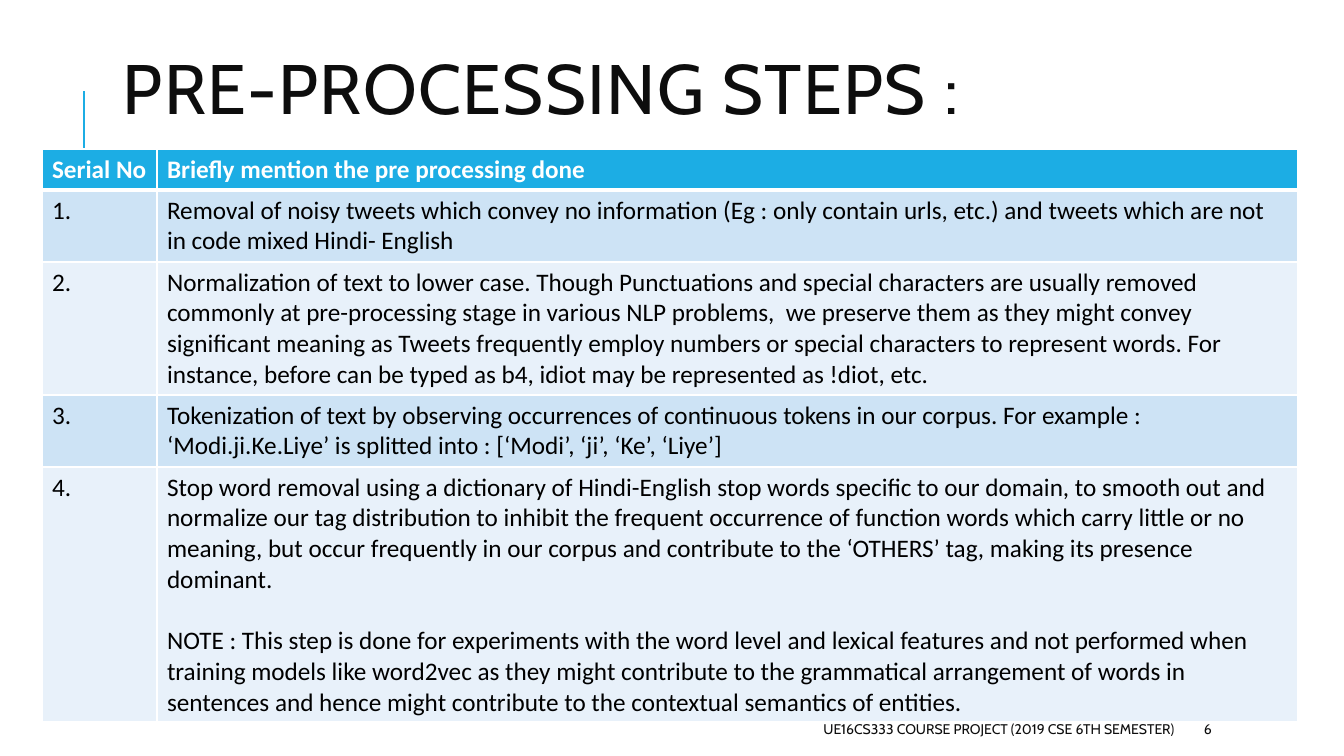
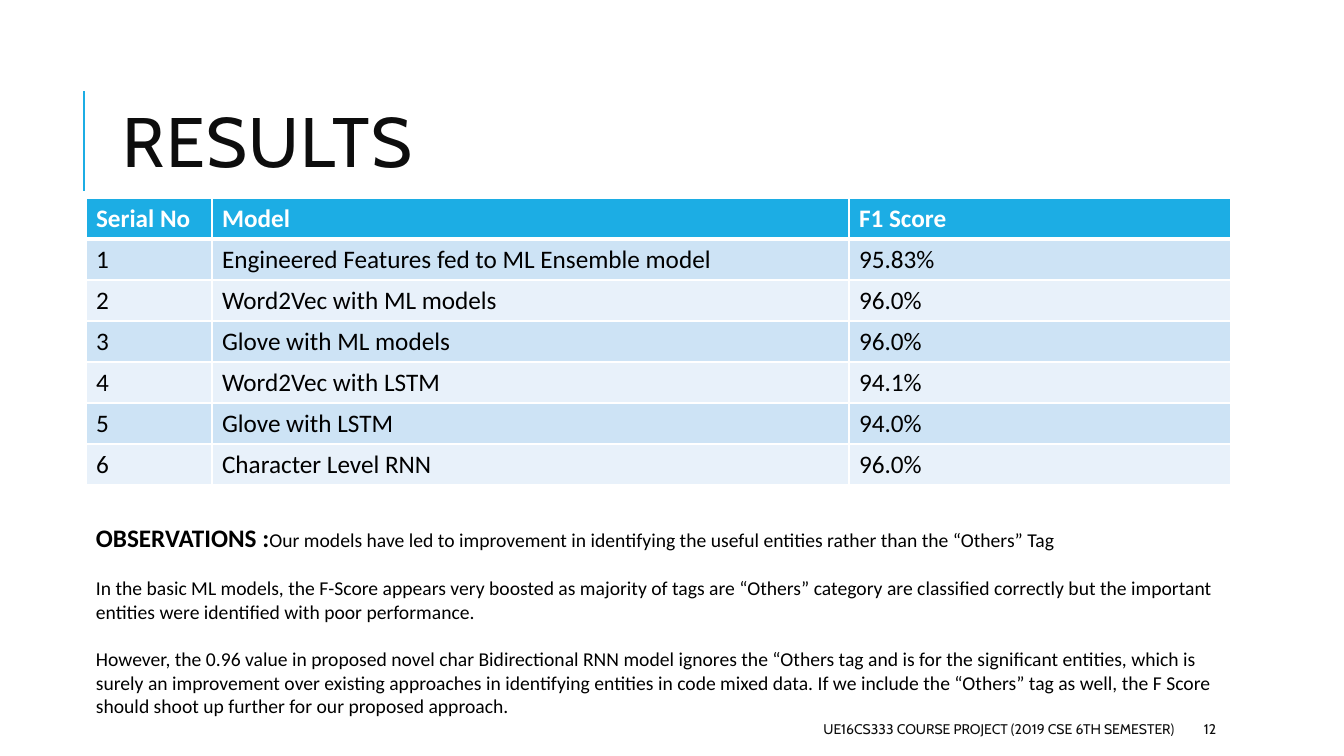
from lxml import etree
from pptx import Presentation
from pptx import util as u
from pptx.dml.color import RGBColor
from pptx.enum import shapes, text
from pptx.oxml import ns

SCALE = 914400 / 100.8
BLUE = RGBColor(0x1C, 0xAD, 0xE4)
DARK = RGBColor(0x0D, 0x0D, 0x0D)
BLACK = RGBColor(0, 0, 0)
WHITE = RGBColor(0xFF, 0xFF, 0xFF)
BANDS = [RGBColor(0xCD, 0xE3, 0xF5), RGBColor(0xE8, 0xF1, 0xFA)]
HEAD, BODY = "Cabin", "Calibri"
FOOTER = "UE16CS333 COURSE PROJECT (2019 CSE 6TH SEMESTER)"

STEPS = [
    ["Serial No", "Briefly mention the pre processing done"],
    ["1.", "Removal of noisy tweets which convey no information (Eg : only "
     "contain urls, etc.) and tweets which are not in code mixed Hindi- English"],
    ["2.", "Normalization of text to lower case. Though Punctuations and special "
     "characters are usually removed commonly at pre-processing stage in various "
     "NLP problems,  we preserve them as they might convey significant meaning as "
     "Tweets frequently employ numbers or special characters to represent words. "
     "For instance, before can be typed as b4, idiot may be represented as "
     "!diot, etc."],
    ["3.", "Tokenization of text by observing occurrences of continuous tokens in "
     "our corpus. For example : ‘Modi.ji.Ke.Liye’ is splitted into : "
     "[‘Modi’, ‘ji’, ‘Ke’, ‘Liye’]"],
    ["4.", "Stop word removal using a dictionary of Hindi-English stop words "
     "specific to our domain, to smooth out and normalize our tag distribution to "
     "inhibit the frequent occurrence of function words which carry little or no "
     "meaning, but occur frequently in our corpus and contribute to the ‘OTHERS’ "
     "tag, making its presence dominant.\n"
     "NOTE : This step is done for experiments with the word level and lexical "
     "features and not performed when training models like word2vec as they might "
     "contribute to the grammatical arrangement of words in sentences and hence "
     "might contribute to the contextual semantics of entities."],
]
SCORES = [
    ["Serial No", "Model", "F1 Score"],
    ["1", "Engineered Features fed to ML Ensemble model", "95.83%"],
    ["2", "Word2Vec with ML models", "96.0%"],
    ["3", "Glove with ML models", "96.0%"],
    ["4", "Word2Vec with LSTM", "94.1%"],
    ["5", "Glove with LSTM", "94.0%"],
    ["6", "Character Level RNN", "96.0%"],
]
LABEL = "OBSERVATIONS :"
NOTES = [
    "Our models have led to improvement in identifying the useful entities rather "
    "than the “Others” Tag",
    "In the basic ML models, the F-Score appears very boosted as majority of tags "
    "are “Others” category are classified correctly but the important entities "
    "were identified with poor performance.",
    "However, the 0.96 value in proposed novel char Bidirectional RNN model ignores "
    "the “Others tag and is for the significant entities, which is surely an "
    "improvement over existing approaches in identifying entities in code mixed "
    "data. If we include the “Others” tag as well, the F Score should shoot up "
    "further for our proposed approach.",
]


def px(n):
    return u.Emu(round(n * SCALE))


def style(font, size, color, name=BODY, bold=False):
    font.size, font.name, font.bold = u.Pt(size), name, bold
    font.color.rgb = color


def add_box(slide, x, y, w, h, anchor=text.MSO_ANCHOR.MIDDLE):
    frame = slide.shapes.add_textbox(px(x), px(y), px(w), px(h)).text_frame
    frame.word_wrap = True
    frame.vertical_anchor = anchor
    return frame


# Parts that both slides share
def add_base(deck, title, top, number):
    slide = deck.slides.add_slide(deck.slide_layouts[6])
    rule = slide.shapes.add_connector(
        shapes.MSO_CONNECTOR.STRAIGHT, px(84), px(191), px(84), px(91))
    rule.line.color.rgb = BLUE
    rule.line.width = u.Pt(1.5)
    etree.SubElement(rule._element.spPr, ns.qn("a:effectLst"))

    para = add_box(slide, 113, top, 1072, 165).paragraphs[0]
    para.text = title
    para.line_spacing = 0.8
    style(para.font, 50, DARK, HEAD)
    para._p.pPr.get_or_add_defRPr().set("spc", "100")

    for words, x, w, align in [(FOOTER, 534, 650, text.PP_ALIGN.RIGHT),
                               (str(number), 1194, 107, text.PP_ALIGN.LEFT)]:
        para = add_box(slide, x, 714, w, 30).paragraphs[0]
        para.text, para.alignment = words, align
        style(para.font, 10, DARK, HEAD)
    return slide


# Tables
def add_edges(cell, row):
    widths = {"L": 1, "R": 1, "T": 3 if row == 1 else 1, "B": 1 if row else 3}
    props = cell._tc.get_or_add_tcPr()
    for side, width in widths.items():
        edge = etree.SubElement(props, ns.qn("a:ln" + side), w=str(u.Pt(width)))
        fill = etree.SubElement(edge, ns.qn("a:solidFill"))
        etree.SubElement(fill, ns.qn("a:srgbClr"), val=str(WHITE))


def fill_cell(cell, words, row):
    add_edges(cell, row)
    cell.fill.solid()
    cell.fill.fore_color.rgb = BANDS[(row - 1) % 2] if row else BLUE
    cell.text = words
    for i, para in enumerate(cell.text_frame.paragraphs):
        style(para.font, 18, BLACK if row else WHITE, bold=row == 0)
        if i:
            para.space_before = u.Pt(22)


def add_grid(slide, x, y, cols, rows, data):
    table = slide.shapes.add_table(
        len(rows), len(cols), px(x), px(y), px(sum(cols)), px(sum(rows))).table
    for col, width in zip(table.columns, cols):
        col.width = px(width)
    for r, (row, height) in enumerate(zip(table.rows, rows)):
        row.height = px(height)
        for cell, words in zip(row.cells, data[r]):
            fill_cell(cell, words, r)


# Observations below the scores
def add_notes(slide):
    frame = add_box(slide, 86, 517, 1145, 207, text.MSO_ANCHOR.TOP)
    for i, words in enumerate(NOTES):
        para = frame.add_paragraph() if i else frame.paragraphs[0]
        if i:
            para.space_before = u.Pt(17)
            para.text = words
            style(para.font, 14, BLACK)
        else:
            for part, size, bold in [(LABEL, 18, True), (words, 14, False)]:
                run = para.add_run()
                run.text = part
                style(run.font, size, BLACK, bold=bold)


def main():
    deck = Presentation()
    deck.slide_width, deck.slide_height = px(1344), px(756)

    steps = add_base(deck, "PRE-PROCESSING STEPS :", 12, 6)
    add_grid(steps, 42, 149, [115, 1141], [41, 72, 133, 72, 255], STEPS)

    scores = add_base(deck, "RESULTS", 65, 12)
    add_grid(scores, 86, 198, [126, 637, 382], [41] * len(SCORES), SCORES)
    add_notes(scores)

    deck.save("out.pptx")


main()
